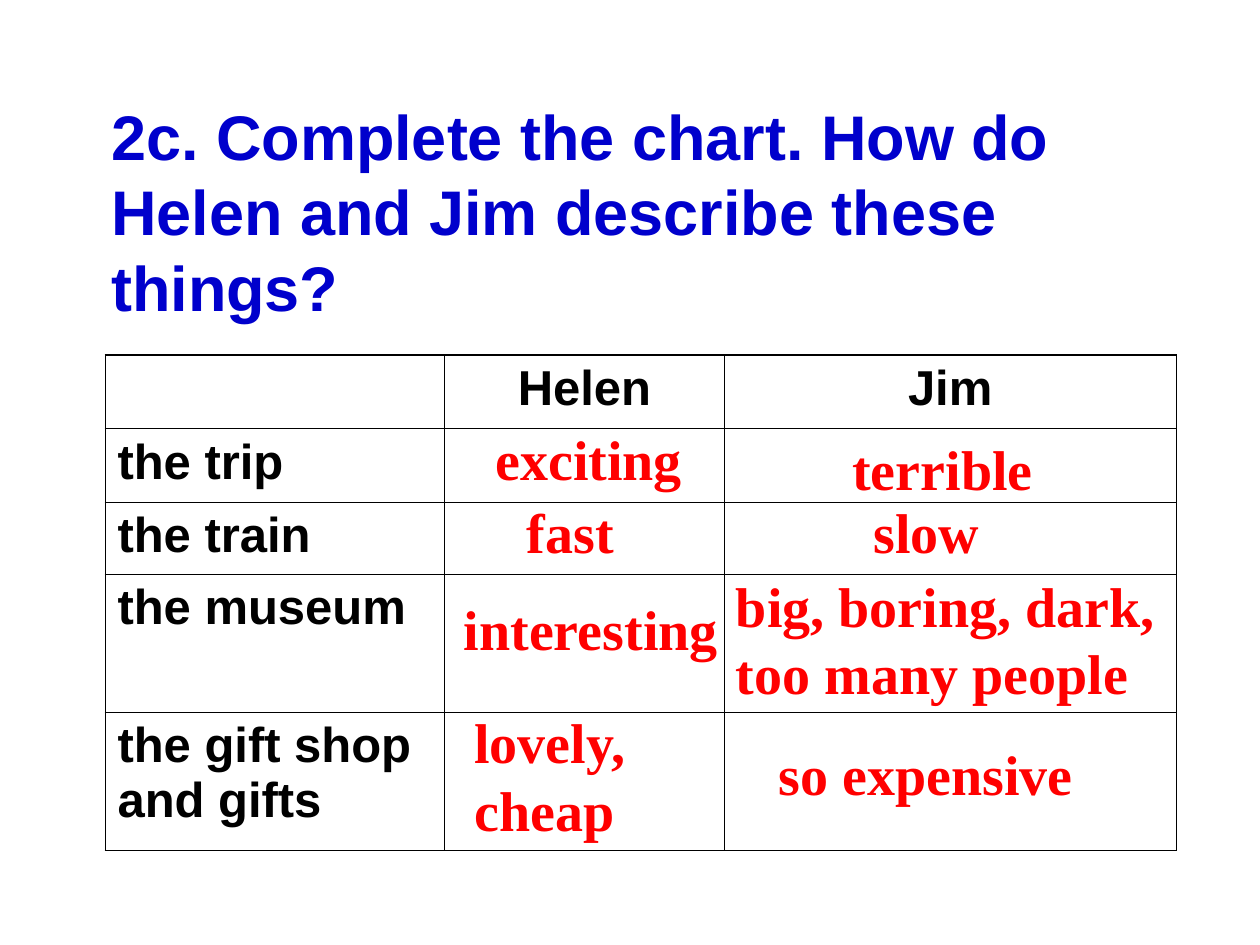
from dataclasses import dataclass

from pptx import Presentation
from pptx.dml.color import RGBColor as RGB
from pptx.enum.text import PP_ALIGN as Align
from pptx.oxml import parse_xml
from pptx.oxml.ns import nsdecls
from pptx.util import Pt


@dataclass(frozen=True)
class Theme:
    title: RGB = RGB(0x00, 0x00, 0xCC)
    label: RGB = RGB(0x00, 0x00, 0x00)
    answer: RGB = RGB(0xFF, 0x00, 0x00)
    line: str = "000000"
    sans: str = "Arial"
    serif: str = "Times New Roman"
    title_size: int = 36
    label_size: int = 28
    answer_size: int = 32
    top_line: float = 1.08
    thin_line: float = 0.45
    leading: float = 1.2


T = Theme()

COLS = [194, 160, 258]
ROWS = [42, 42, 41, 79, 79]
CELLS = [
    ["", "Helen", "Jim"],
    ["the trip", "", ""],
    ["the train", "", ""],
    ["the museum", "", ""],
    ["the gift shop and gifts", "", ""],
]
# Left, top (from the table's corner), width, height, lines
ANSWERS = [
    (216, 36, 125, 46, ["exciting"]),
    (234, 78, 77, 46, ["fast"]),
    (198, 133, 164, 46, ["interesting"]),
    (204, 198, 106, 84, ["lovely,", "cheap"]),
    (420, 42, 122, 46, ["terrible"]),
    (432, 78, 79, 46, ["slow"]),
    (353.5, 120, 266, 84, ["big, boring, dark,", "too many people"]),
    (378, 216, 188, 46, ["so expensive"]),
]


def set_font(p, name, size, color):
    p.font.name, p.font.size, p.font.bold = name, Pt(size), True
    p.font.color.rgb = color


def add_lines(s, box, lines, name, size, color):
    tf = s.shapes.add_textbox(*map(Pt, box)).text_frame
    tf.word_wrap = False
    tf.text = "\n".join(lines)
    for p in tf.paragraphs:
        p.line_spacing = Pt(size * T.leading)
        set_font(p, name, size, color)


def set_borders(cell, widths):
    """Add left, right, top and bottom lines, ahead of the cell's fill."""
    tc_pr = cell._tc.get_or_add_tcPr()
    for i, (side, width) in enumerate(zip("LRTB", widths)):
        tc_pr.insert(i, parse_xml(
            f'<a:ln{side} {nsdecls("a")} w="{int(Pt(width))}"><a:solidFill>'
            f'<a:srgbClr val="{T.line}"/></a:solidFill></a:ln{side}>'))


def add_title(s, box):
    lines = ["2c. Complete the chart. How do",
             "Helen and Jim describe these", "things?"]
    add_lines(s, box, lines, T.sans, T.title_size, T.title)


def add_chart_table(s, left, top):
    box = (left, top, sum(COLS), sum(ROWS))
    frame = s.shapes.add_table(len(ROWS), len(COLS), *map(Pt, box))
    table = frame.table
    table.first_row = table.horz_banding = False
    for col, width in zip(table.columns, COLS):
        col.width = Pt(width)
    for row, height in zip(table.rows, ROWS):
        row.height = Pt(height)

    for r, texts in enumerate(CELLS):
        top_line = T.top_line if r == 0 else T.thin_line
        for c, text in enumerate(texts):
            cell = table.cell(r, c)
            cell.fill.background()
            cell.text = text
            p = cell.text_frame.paragraphs[0]
            p.alignment = Align.CENTER if r == 0 else Align.LEFT
            set_font(p, T.sans, T.label_size, T.label)
            set_borders(cell, [T.thin_line, T.thin_line, top_line, T.thin_line])


def add_answers(s, left, top):
    for x, y, w, h, lines in ANSWERS:
        add_lines(s, (left + x, top + y, w, h), lines,
                  T.serif, T.answer_size, T.answer)


def main():
    prs = Presentation()
    prs.slide_width, prs.slide_height = Pt(720), Pt(540)
    s = prs.slides.add_slide(prs.slide_layouts[6])
    add_title(s, (56.5, 52, 562, 137))
    add_chart_table(s, 60, 203)
    add_answers(s, 60, 203)
    prs.save("out.pptx")


if __name__ == "__main__":
    main()
